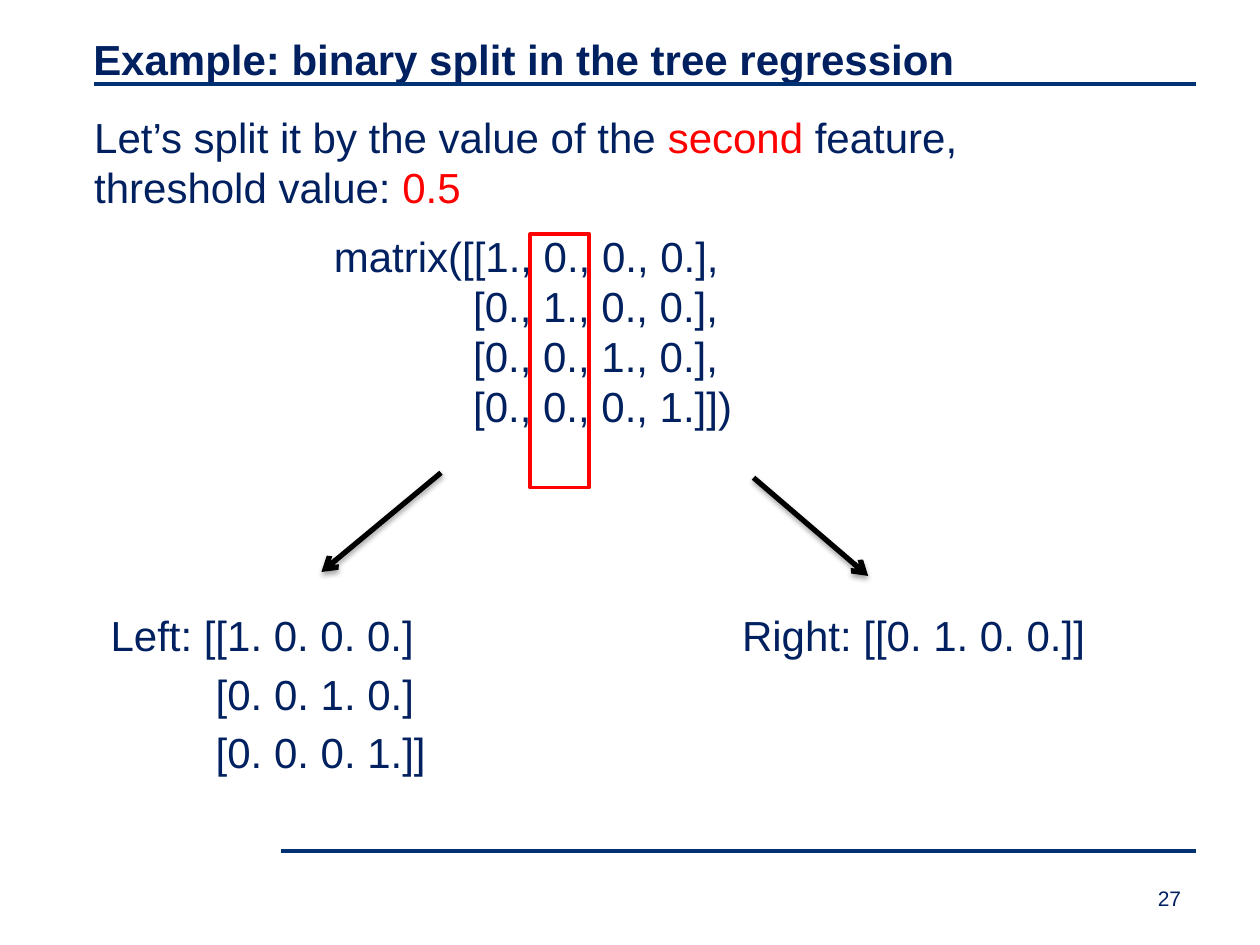
"""Build a slide showing a binary split in tree regression."""
from lxml.etree import SubElement
from pptx import Presentation
from pptx.dml.color import RGBColor
from pptx.enum.shapes import MSO_CONNECTOR, MSO_SHAPE
from pptx.enum.text import MSO_ANCHOR, MSO_AUTO_SIZE, PP_ALIGN
from pptx.oxml.ns import qn
from pptx.util import Cm, Pt

NAVY = RGBColor(0x00, 0x20, 0x60)
RULE_BLUE = RGBColor(0x00, 0x31, 0x73)
RED = RGBColor(0xFF, 0x00, 0x00)
BLACK = RGBColor(0x00, 0x00, 0x00)


class SlideBuilder:
    font_name = "Arial"
    body_size = 24
    line_pitch = 28.6

    def __init__(self, slide):
        self.slide = slide

    def fill_text(self, shape, paragraphs, size=body_size, bold=False, gap=0, hanging=0, top_inset=0.13):
        frame = shape.text_frame
        frame.word_wrap = True
        frame.auto_size = MSO_AUTO_SIZE.NONE
        frame.vertical_anchor = MSO_ANCHOR.TOP
        frame.margin_left = frame.margin_right = Cm(0.25)
        frame.margin_top, frame.margin_bottom = Cm(top_inset), Cm(0.13)
        for index, runs in enumerate(paragraphs):
            paragraph = frame.add_paragraph() if index else frame.paragraphs[0]
            paragraph.alignment = PP_ALIGN.LEFT
            paragraph.line_spacing = Pt(self.line_pitch * size / self.body_size)
            paragraph.space_before = Pt(gap if index else 0)
            if index and hanging:
                paragraph._p.get_or_add_pPr().set("marL", str(Cm(hanging)))
            for text, color in runs:
                run = paragraph.add_run()
                run.text = text
                run.font.name = self.font_name
                run.font.size = Pt(size)
                run.font.bold = bold
                run.font.color.rgb = color

    def title(self, text, left, top, width, height):
        shape = self.slide.shapes.title
        shape.left, shape.top, shape.width, shape.height = map(Cm, (left, top, width, height))
        self.fill_text(shape, [[(text, NAVY)]], bold=True)

    def text(self, paragraphs, left, top, width, height, **style):
        shape = self.slide.shapes.add_textbox(*map(Cm, (left, top, width, height)))
        self.fill_text(shape, paragraphs, **style)

    def rows(self, lines, left, top, width, height, **style):
        self.text([[(line, NAVY)] for line in lines], left, top, width, height, **style)

    def line(self, start, end, color, weight):
        connector = self.slide.shapes.add_connector(MSO_CONNECTOR.STRAIGHT, *map(Cm, start + end))
        connector.line.color.rgb = color
        connector.line.width = Pt(weight)
        effects = SubElement(connector._element.spPr, qn("a:effectLst"))
        return connector, effects

    def arrow(self, start, end):
        connector, effects = self.line(start, end, BLACK, 3)
        SubElement(connector.line._get_or_add_ln(), qn("a:tailEnd"), type="arrow")
        shadow = SubElement(
            effects, qn("a:outerShdw"), blurRad=str(Pt(3.1)), dist=str(Pt(1.8)),
            dir="5400000", rotWithShape="0",
        )
        color = SubElement(shadow, qn("a:srgbClr"), val=str(BLACK))
        SubElement(color, qn("a:alpha"), val="35000")

    def outline(self, left, top, width, height):
        shape = self.slide.shapes.add_shape(
            MSO_SHAPE.RECTANGLE, *map(Cm, (left, top, width, height))
        )
        shape.shadow.inherit = False
        shape.fill.background()
        shape.line.color.rgb = RED
        shape.line.width = Pt(2)


def main():
    presentation = Presentation()
    presentation.slide_width, presentation.slide_height = Cm(25.4), Cm(19.05)
    builder = SlideBuilder(presentation.slides.add_slide(presentation.slide_layouts[5]))

    for left, top in ((1.9, 1.7), (5.66, 17.15)):
        builder.line((left, top), (24.1, top), RULE_BLUE, 2.25)
    builder.rows(["27"], 23.09, 17.73, 1.8, 0.76, size=12)
    builder.title("Example: binary split in the tree regression", 1.63, 0.56, 22.86, 2.18)

    matrix = ["matrix([[1., 0., 0., 0.],", "[0., 1., 0., 0.],", "[0., 0., 1., 0.],", "[0., 0., 0., 1.]])"]
    builder.rows(matrix, 6.48, 3.73, 10.31, 7.06, hanging=2.81, top_inset=0.92)
    introduction = [
        ("Let’s split it by the value of the ", NAVY),
        ("second", RED),
        (" feature, threshold value: ", NAVY),
        ("0.5", RED),
    ]
    builder.text([introduction], 1.65, 2.13, 21.41, 2.39)
    builder.rows(["Right: [[0. 1. 0. 0.]]"], 14.71, 12.17, 9.6, 2.39)
    left_rows = ["Left: [[1. 0. 0. 0.]", "[0. 0. 1. 0.]", "[0. 0. 0. 1.]]"]
    builder.rows(left_rows, 1.98, 12.17, 11.4, 4.39, gap=4.8, hanging=2.12)

    builder.arrow((8.89, 9.53), (6.48, 11.53))
    builder.arrow((15.19, 9.63), (17.5, 11.61))
    builder.outline(10.69, 4.72, 1.19, 5.11)
    presentation.save("out.pptx")


if __name__ == "__main__":
    main()
